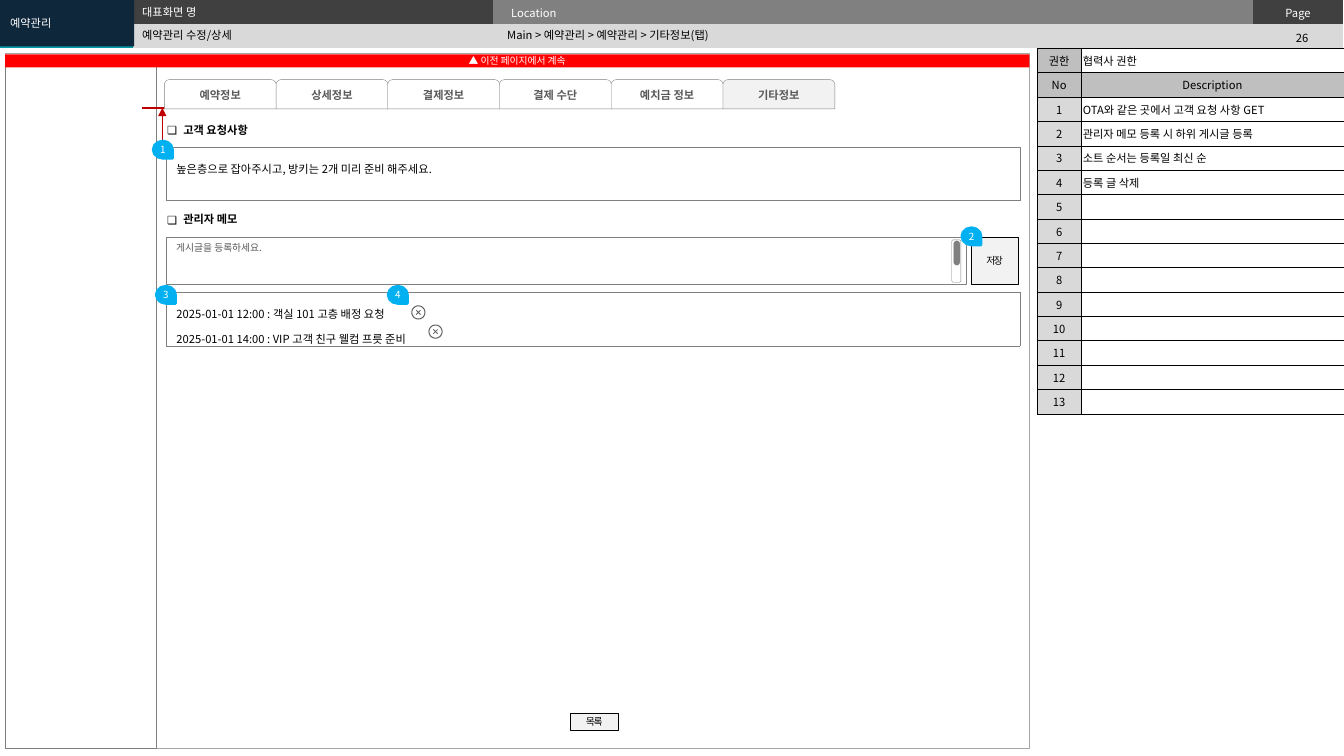
import math
from dataclasses import dataclass

import lxml.etree
import pptx
import pptx.dml.color
import pptx.enum.shapes
import pptx.enum.text
import pptx.oxml.ns
import pptx.util

Inches = pptx.util.Inches
Pt = pptx.util.Pt
SHAPE = pptx.enum.shapes.MSO_SHAPE
ALIGN = pptx.enum.text.PP_ALIGN
ANCHOR = pptx.enum.text.MSO_ANCHOR
qn = pptx.oxml.ns.qn


@dataclass(frozen=True)
class Theme:
    font: str = "Noto Sans CJK KR"
    normal: int = 8
    small: int = 7
    hairline: float = 0.25
    black: str = "000000"
    white: str = "FFFFFF"
    navy: str = "0E273B"
    teal: str = "009CA6"
    dark: str = "404040"
    text_gray: str = "595959"
    icon: str = "5F5F5F"
    gray: str = "808080"
    frame: str = "A6A6A6"
    head: str = "BFBFBF"
    light: str = "D9D9D9"
    pale: str = "F2F2F2"
    red: str = "FF0000"
    arrow: str = "C00000"
    marker: str = "00B0F0"


class Wireframe:
    """Draws wireframe elements on one slide in one theme."""

    def __init__(self, prs, theme):
        self.t = theme
        self.s = prs.slides.add_slide(prs.slide_layouts[4])

    def rgb(self, color):
        return pptx.dml.color.RGBColor.from_string(color)

    def paint(self, target, color):
        if color:
            target.fill.solid()
            target.fill.fore_color.rgb = self.rgb(color)
        else:
            target.fill.background()

    def set_text(self, tf, text, size=None, color=None, bold=False, align=ALIGN.LEFT, spacing=None, track=None):
        tf.text = text
        for p in tf.paragraphs:
            p.alignment = align
            p.space_before = Pt(0)
            if spacing:
                p.line_spacing = spacing
            for r in p.runs:
                r.font.size = Pt(size or self.t.normal)
                r.font.bold = bold
                r.font.color.rgb = self.rgb(color or self.t.black)
                r.font.name = self.t.font
                rpr = r._r.get_or_add_rPr()
                lxml.etree.SubElement(rpr, qn("a:ea"), typeface=self.t.font)
                if track:
                    rpr.set("spc", str(track))
            if not p.runs:
                lxml.etree.SubElement(p._p, qn("a:endParaRPr"), sz=str(self.t.normal * 100))

    def placeholder(self, idx, box, text, color=None, fill=None, anchor=ANCHOR.MIDDLE):
        sp = self.s.placeholders[idx]
        sp.left, sp.top, sp.width, sp.height = map(Inches, box)
        self.paint(sp, fill)
        tf = sp.text_frame
        tf.auto_size = pptx.enum.text.MSO_AUTO_SIZE.NONE
        tf.vertical_anchor = anchor
        self.set_text(tf, text, color=color)
        ppr = tf.paragraphs[0]._p.get_or_add_pPr()
        ppr.set("marL", "0")
        ppr.set("indent", "0")
        lxml.etree.SubElement(ppr, qn("a:buNone"))
        self.s.shapes._spTree.append(sp._element)

    def label(self, box, text, align=ALIGN.LEFT, bold=False, bullet=None):
        tf = self.s.shapes.add_textbox(*map(Inches, box)).text_frame
        tf.word_wrap = True
        self.set_text(tf, text, bold=bold, align=align)
        if bullet:
            ppr = tf.paragraphs[0]._p.get_or_add_pPr()
            ppr.set("marL", str(Inches(0.16)))
            ppr.set("indent", str(-Inches(0.16)))
            lxml.etree.SubElement(ppr, qn("a:buFont"), typeface=self.t.font)
            lxml.etree.SubElement(ppr, qn("a:buChar"), char=bullet)

    def shape(self, box, kind=SHAPE.RECTANGLE, fill=None, line=None, width=None, text=None,
              anchor=ANCHOR.MIDDLE, margin=None, **style):
        sp = self.s.shapes.add_shape(kind, *map(Inches, box))
        sp.shadow.inherit = False
        self.paint(sp, fill)
        self.paint(sp.line, line)
        if line:
            sp.line.width = Pt(width or self.t.hairline)
        if text:
            tf = sp.text_frame
            tf.vertical_anchor = anchor
            if margin is not None:
                tf.margin_left = tf.margin_right = tf.margin_top = tf.margin_bottom = Inches(margin)
            self.set_text(tf, text, **{"align": ALIGN.CENTER, **style})
        return sp

    def button(self, box, text):
        self.shape(box, fill=self.t.pale, line=self.t.black, text=text, margin=0,
                   size=self.t.small, track=-90)

    def marker(self, number, x, y):
        sp = self.shape((x, y, 0.17, 0.19), SHAPE.TEAR, self.t.marker, self.t.marker, 2, str(number),
                        margin=0, size=self.t.small, color=self.t.white)
        sp.rotation = 90
        sp.text_frame._txBody.bodyPr.set("vert", "vert270")

    def line(self, start, end, arrow=False):
        cx = self.s.shapes.add_connector(pptx.enum.shapes.MSO_CONNECTOR.STRAIGHT,
                                         *map(Inches, (*start, *end)))
        cx.line.color.rgb = self.rgb(self.t.arrow)
        cx.line.width = Pt(1)
        if arrow:
            lxml.etree.SubElement(cx.line._get_or_add_ln(), qn("a:tailEnd"), type="triangle")
        lxml.etree.SubElement(cx._element.spPr, qn("a:effectLst"))

    def delete_icon(self, x, y):
        def ring(radius):
            return [(radius, math.radians(a)) for a in range(0, 360, 10)]

        arm, half = 0.03, 0.004
        corners = [(arm, -half), (arm, half), (half, half)]
        cross = [(math.hypot(u, v), math.atan2(v, u) + math.radians(45 + 90 * k))
                 for k in range(4) for u, v in corners]
        fb = None
        for contour in (ring(0.07), ring(0.06), cross):
            points = [(Inches(x + d * math.cos(a)), Inches(y + d * math.sin(a))) for d, a in contour]
            if fb is None:
                fb = self.s.shapes.build_freeform(*points[0])
            else:
                fb.move_to(*points[0])
            fb.add_line_segments(points[1:], close=True)
        sp = fb.convert_to_shape()
        sp.shadow.inherit = False
        self.paint(sp, self.t.icon)
        sp.line.fill.background()

    def table(self, box, cols, rows):
        x, y, w, h = map(Inches, box)
        tbl = self.s.shapes.add_table(rows, len(cols), x, y, w, h).table
        tbl.first_row = tbl.horz_banding = False
        tbl._tbl.tblPr.find(qn("a:tableStyleId")).text = "{2D5ABB26-0587-4C30-8999-92F81FD0307C}"
        for column, width in zip(tbl.columns, cols):
            column.width = Inches(width)
        for row in tbl.rows:
            row.height = h // rows
        return tbl

    def cell(self, cell, text="", fill=None, border=None, width=0.5, margins=(0.1, 0.05),
             anchor=ANCHOR.TOP, **style):
        cell.margin_left = cell.margin_right = Inches(margins[0])
        cell.margin_top = cell.margin_bottom = Inches(margins[1])
        cell.vertical_anchor = anchor
        self.set_text(cell.text_frame, text, **style)
        self.paint(cell, fill)
        if border:
            tcpr = cell._tc.get_or_add_tcPr()
            for i, side in enumerate(("lnL", "lnR", "lnT", "lnB")):
                ln = lxml.etree.Element(qn("a:" + side), w=str(Pt(width)))
                solid = lxml.etree.SubElement(ln, qn("a:solidFill"))
                lxml.etree.SubElement(solid, qn("a:srgbClr"), val=border)
                tcpr.insert(i, ln)

    def memo(self, y, text, anchor=ANCHOR.TOP):
        tbl = self.table((1.65, y, 8.47, 0.53), [8.47], 1)
        self.cell(tbl.cell(0, 0), text, self.t.white, self.t.gray, self.t.hairline,
                  anchor=anchor, spacing=1.5)


def main():
    prs = pptx.Presentation()
    prs.slide_width, prs.slide_height = Inches(13.33), Inches(7.5)
    t = Theme()
    w = Wireframe(prs, t)

    header = w.table((0, 0, 13.33, 0.46), [1.32, 3.57, 7.54, 0.89], 2)
    texts = ["", "", "Location", "Page"]
    for col, (text, fill) in enumerate(zip(texts, (t.teal, t.dark, t.gray, t.dark))):
        w.cell(header.cell(0, col), text, fill, margins=(0.18, 0.04), color=t.white,
               align=ALIGN.CENTER if text == "Page" else ALIGN.LEFT)
        w.cell(header.cell(1, col), fill=t.light, margins=(0.18, 0.04))
    header.cell(0, 0).merge(header.cell(1, 0))
    w.label((12.48, 0.26, 0.87, 0.24), "26", ALIGN.CENTER)
    w.shape((0.05, 0.53, 10.16, 6.89), line=t.frame)

    w.placeholder(0, (1.31, 0.24, 3.63, 0.22), "예약관리 수정/상세")
    w.placeholder(1, (4.93, 0.23, 7.38, 0.24), "Main > 예약관리 > 예약관리 > 기타정보(탭)")
    w.placeholder(2, (1.31, 0, 3.62, 0.22), "대표화면 명", t.white, anchor=ANCHOR.TOP)
    w.placeholder(3, (0, 0, 1.33, 0.46), "예약관리", t.white, t.navy)
    spare = w.s.placeholders[4]._element
    spare.getparent().remove(spare)

    w.shape((0.05, 0.55, 1.5, 6.87), line=t.gray)
    notes = ["OTA와 같은 곳에서 고객 요청 사항 GET", "관리자 메모 등록 시 하위 게시글 등록",
             "소트 순서는 등록일 최신 순", "등록 글 삭제"] + [""] * 9
    rows = [("권한", "협력사 권한"), ("No", "Description")]
    rows += [(str(n), note) for n, note in enumerate(notes, 1)]
    description = w.table((10.29, 0.48, 3.04, 3.56), [0.43, 2.61], len(rows))
    for i, (key, note) in enumerate(rows):
        heading = note == "Description"
        common = dict(border=t.black, margins=(0.02, 0.04))
        w.cell(description.cell(i, 0), key, t.head if i < 2 else t.light, align=ALIGN.CENTER,
               anchor=ANCHOR.MIDDLE, **common)
        w.cell(description.cell(i, 1), note, t.head if heading else None,
               align=ALIGN.CENTER if heading else ALIGN.LEFT, **common)

    w.shape((0.05, 0.54, 10.16, 0.13), fill=t.red, text="▲ 이전 페이지에서 계속", size=t.small, color=t.white)
    for y, text in ((1.17, "고객 요청사항"), (2.06, "관리자 메모")):
        w.label((1.56, y, 3.37, 0.24), text, bold=True, bullet="❏")
    w.memo(1.46, "높은층으로 잡아주시고, 방키는 2개 미리 준비 해주세요.")
    w.memo(2.9, "2025-01-01 12:00 : 객실 101 고층 배정 요청\n2025-01-01 14:00 : VIP 고객 친구 웰컴 프릇 준비",
           ANCHOR.MIDDLE)

    w.shape((1.65, 2.35, 7.93, 0.47), line=t.gray, text="게시글을 등록하세요.", anchor=ANCHOR.TOP,
            size=t.small, color=t.text_gray, align=ALIGN.LEFT)
    w.button((9.63, 2.35, 0.47, 0.47), "저장")
    w.shape((9.44, 2.38, 0.09, 0.42), SHAPE.ROUNDED_RECTANGLE, line=t.gray)
    thumb = w.shape((9.46, 2.39, 0.06, 0.24), SHAPE.ROUNDED_RECTANGLE, t.gray, t.gray)
    thumb.adjustments[0] = 0.5
    w.delete_icon(4.15, 3.1)
    w.delete_icon(4.32, 3.29)
    w.button((5.66, 7.08, 0.47, 0.16), "목록")

    w.line((1.8, 1.07), (1.41, 1.07))
    w.line((1.61, 1.48), (1.61, 1.07), arrow=True)
    tabs = ["예약정보", "상세정보", "결제정보", "결제 수단", "예치금 정보", "기타정보"]
    for i, text in enumerate(tabs):
        w.shape((1.63 + i * 5.54 / 5, 0.79, 1.11, 0.29), SHAPE.ROUND_2_SAME_RECTANGLE,
                t.pale if text == "기타정보" else t.white, t.gray, text=text, color=t.text_gray, bold=True)
    for number, (x, y) in enumerate([(1.53, 1.39), (9.55, 2.25), (1.56, 2.83), (3.86, 2.83)], 1):
        w.marker(number, x, y)

    prs.save("out.pptx")


if __name__ == "__main__":
    main()
